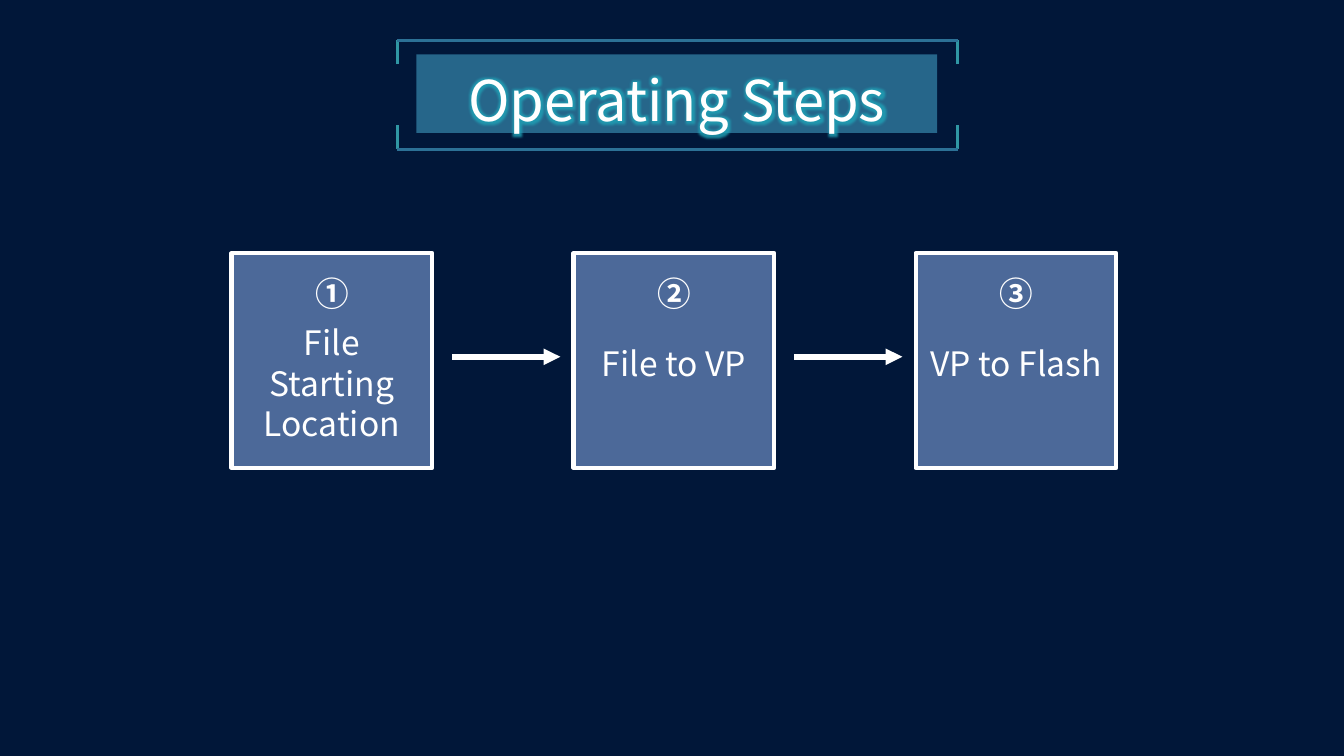
from lxml import etree
from pptx import Presentation
from pptx.dml.color import RGBColor
from pptx.enum.shapes import MSO_CONNECTOR, MSO_SHAPE
from pptx.enum.text import MSO_ANCHOR, MSO_AUTO_SIZE, PP_ALIGN
from pptx.oxml.ns import qn
from pptx.util import Cm, Pt

STRAIGHT = MSO_CONNECTOR.STRAIGHT
RECTANGLE = MSO_SHAPE.RECTANGLE
TOP, BOTTOM = MSO_ANCHOR.TOP, MSO_ANCHOR.BOTTOM
CENTER = PP_ALIGN.CENTER
NO_FIT = MSO_AUTO_SIZE.NONE
TITLE_ONLY = 5

FONT = "Noto Sans CJK SC"
COLORS = {
    "background": "011739",
    "frame": "2C7196",
    "corner": "3097A4",
    "plate": "2C7196",
    "glow": "20A4B8",
    "card": "4C6999",
    "white": "FFFFFF",
}
STEPS = [
    ("①", "File Starting Location", 8.11),
    ("②", "File to VP", 8.64),
    ("③", "VP to Flash", 8.64),
]
CARD_LEFT, CARD_TOP, CARD_WIDTH, CARD_HEIGHT = 5.84, 6.38, 5.05, 5.41
CARD_PITCH = 8.62
NUMBER_TOP = 6.88
ARROW_OFFSET, ARROW_LENGTH, ARROW_Y = 5.56, 2.72, 8.99


def rgb(name):
    """Return the named colour."""
    return RGBColor.from_string(COLORS[name])


def set_attributes(target, values):
    """Set every attribute in a dict of format values."""
    for name, value in values.items():
        setattr(target, name, value)


def write_text(box, text, size, leading, anchor=TOP, bold=False):
    """Write one centred paragraph and return its run."""
    frame = box.text_frame
    set_attributes(frame, {
        "word_wrap": True, "auto_size": NO_FIT, "vertical_anchor": anchor,
        "margin_top": 0, "margin_bottom": 0,
    })
    para = frame.paragraphs[0]
    set_attributes(para, {"alignment": CENTER, "line_spacing": Pt(leading)})
    span = para.add_run()
    span.text = text
    set_attributes(span.font, {"name": FONT, "size": Pt(size), "bold": bold})
    span.font.color.rgb = rgb("white")
    latin = span.font._element.find(qn("a:latin"))
    latin.addnext(latin.makeelement(qn("a:ea"), {"typeface": FONT}))
    return span


def add_glow(span, radius):
    """Give a run a soft coloured glow."""
    effects = etree.Element(qn("a:effectLst"))
    glow = etree.SubElement(effects, qn("a:glow"), rad=str(Pt(radius)))
    color = etree.SubElement(glow, qn("a:srgbClr"), val=COLORS["glow"])
    etree.SubElement(color, qn("a:alpha"), val="80000")
    span.font._element.find(qn("a:latin")).addprevious(effects)


def add_title(page, text):
    """Place the title on its translucent plate."""
    title = page.shapes.title
    set_attributes(title, {
        "left": Cm(10.49), "top": Cm(1.37), "width": Cm(13.13), "height": Cm(1.98),
    })
    title.fill.solid()
    title.fill.fore_color.rgb = rgb("plate")
    color = title._element.spPr.find(qn("a:solidFill"))[0]
    etree.SubElement(color, qn("a:alpha"), val="88000")
    add_glow(write_text(title, text, 40, 48, BOTTOM), 8)


def add_line(page, start, end, color, width, arrow=False):
    """Draw a straight line, with an arrowhead if asked."""
    points = [Cm(value) for value in (*start, *end)]
    line = page.shapes.add_connector(STRAIGHT, *points)
    line.line.color.rgb = rgb(color)
    line.line.width = Pt(width)
    if arrow:
        etree.SubElement(line.line._get_or_add_ln(), qn("a:tailEnd"), type="triangle")
    etree.SubElement(line._element.spPr, qn("a:effectLst"))


def add_frame(page, left, top, right, bottom, tick):
    """Draw the title frame: two long edges and four corner ticks."""
    for y, inward in ((top, tick), (bottom, -tick)):
        for x in (left, right):
            add_line(page, (x, y + inward), (x, y), "corner", 2)
        add_line(page, (left, y), (right, y), "frame", 2)


def add_text_box(page, text, left, top, height, bold=False):
    """Add a text box as wide as a card."""
    box = page.shapes.add_textbox(Cm(left), Cm(top), Cm(CARD_WIDTH), Cm(height))
    write_text(box, text, 24, 29, bold=bold)


def add_card(page, left, number, label, label_top):
    """Add one numbered step card."""
    card = page.shapes.add_shape(
        RECTANGLE, Cm(left), Cm(CARD_TOP), Cm(CARD_WIDTH), Cm(CARD_HEIGHT))
    card.shadow.inherit = False
    card.fill.solid()
    card.fill.fore_color.rgb = rgb("card")
    card.line.color.rgb = rgb("white")
    card.line.width = Pt(3.25)
    add_text_box(page, number, left, NUMBER_TOP, 1.03, bold=True)
    add_text_box(page, label, left, label_top, CARD_TOP + CARD_HEIGHT - label_top)


def main():
    """Build the slide and save it."""
    deck = Presentation()
    set_attributes(deck, {"slide_width": Cm(33.87), "slide_height": Cm(19.05)})
    page = deck.slides.add_slide(deck.slide_layouts[TITLE_ONLY])
    page.background.fill.solid()
    page.background.fill.fore_color.rgb = rgb("background")

    add_frame(page, 10.01, 1.02, 24.13, 3.76, 0.6)
    add_title(page, "Operating Steps")
    for index, (number, label, label_top) in enumerate(STEPS):
        left = CARD_LEFT + index * CARD_PITCH
        add_card(page, left, number, label, label_top)
        if index < len(STEPS) - 1:
            start = left + ARROW_OFFSET
            add_line(page, (start, ARROW_Y), (start + ARROW_LENGTH, ARROW_Y),
                     "white", 4, arrow=True)
    deck.save("out.pptx")


if __name__ == "__main__":
    main()
